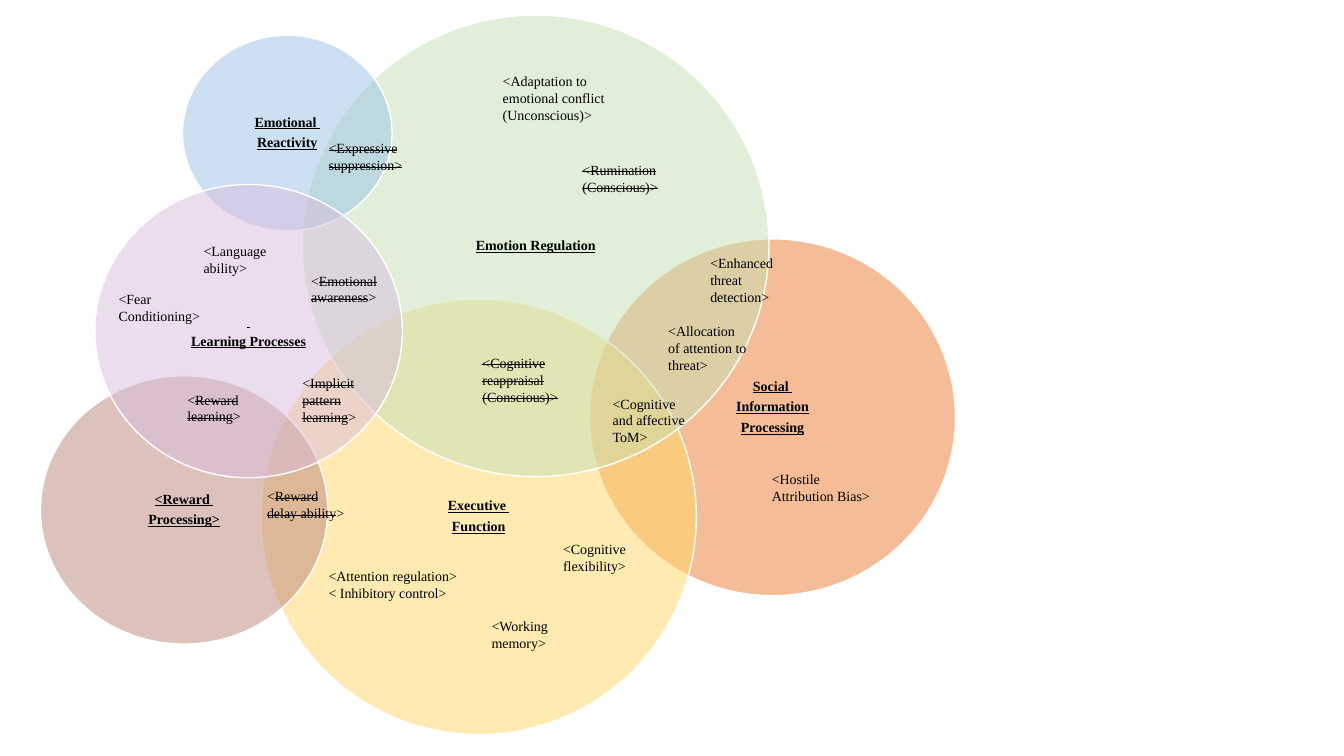
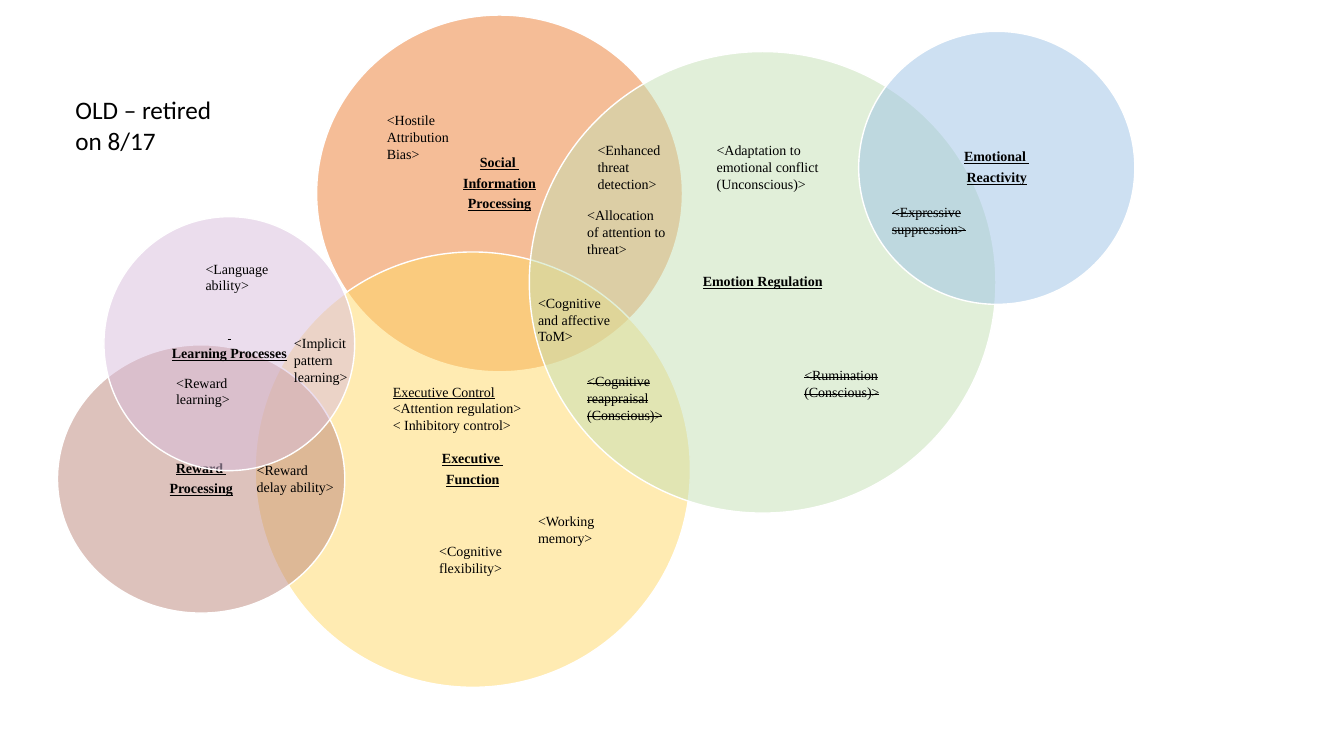
import pptx
import pptx.util
import pptx.dml.color
import pptx.enum.shapes
import pptx.enum.text
import pptx.oxml.ns
import lxml.etree

Cm, Pt = pptx.util.Cm, pptx.util.Pt

COLORS = {
    "social": "ED7D31", "executive": "FFD966", "regulation": "C5E0B4",
    "reward": "BD867B", "reactivity": "9DC3E6", "learning": "D9BDDD",
    "outline": "FFFFFF", "text": "000000",
}

# Circles: heading, width, height (cm)
CIRCLES = {
    "social": dict(text="Social \nInformation\nProcessing", w=9.22, h=8.99, bottom=0.6),
    "executive": dict(text="Executive \nFunction", w=10.97, h=10.97),
    "regulation": dict(text="Emotion Regulation", w=11.76, h=11.63),
    "reward": dict(text="Reward \nProcessing", w=7.24, h=6.76),
    "reactivity": dict(text="Emotional \nReactivity", w=5.28, h=4.93),
    "learning": dict(text=" \nLearning Processes", w=7.75, h=7.39),
}

# Labels: ~ encloses struck text, a leading _ underlines the line
LABELS = {
    "hostile": dict(text="<Hostile Attribution Bias>", w=3.28),
    "enhanced": dict(text="<Enhanced threat detection>", lines=3),
    "allocation": dict(text="<Allocation of attention to threat>", lines=3),
    "control": dict(text="<Attention regulation>\n< Inhibitory control>", w=3.86),
    "memory": dict(text="<Working memory>"),
    "flexibility": dict(text="<Cognitive flexibility>"),
    "delay": dict(text="<Reward delay ability>"),
    "reward": dict(text="<Reward learning>"),
    "reappraisal": dict(text="~<Cognitive reappraisal (Conscious)>~", lines=3),
    "tom": dict(text="<Cognitive and affective ToM>", lines=3),
    "rumination": dict(text="~<Rumination (Conscious)>~", w=2.97),
    "adaptation": dict(text="<Adaptation to emotional conflict (Unconscious)>", w=3.61, lines=3),
    "suppression": dict(text="~<Expressive suppression>~", w=2.67),
    "implicit": dict(text="<Implicit pattern learning>", lines=3),
    "language": dict(text="<Language ability>"),
    "awareness": dict(text="<~Emotional awareness~>"),
    "fear": dict(text="<Fear Conditioning>", w=2.84),
}

# Slides: left and top of each element (cm), then what differs from above
SLIDES = [
    dict(
        circles=[
            ("social", 14.86, 6.02, {}),
            ("executive", 6.58, 7.54, {}),
            ("regulation", 7.62, 0.38, {}),
            ("reward", 1.02, 9.47, dict(text="<Reward \nProcessing>")),
            ("reactivity", 4.6, 0.89, {}),
            ("learning", 2.39, 4.65, {}),
        ],
        labels=[
            ("hostile", 19.2, 11.73, {}),
            ("enhanced", 17.65, 6.3, {}),
            ("allocation", 16.59, 8, {}),
            ("control", 8.03, 14.17, {}),
            ("memory", 12.14, 15.44, {}),
            ("flexibility", 13.94, 13.49, {}),
            ("delay", 6.48, 12.17, dict(text="<~Reward delay ability~>")),
            ("reward", 4.47, 9.73, dict(text="<~Reward learning~>")),
            ("reappraisal", 11.91, 8.81, {}),
            ("tom", 15.19, 9.83, {}),
            ("rumination", 14.43, 3.94, {}),
            ("adaptation", 12.42, 1.7, {}),
            ("suppression", 8.03, 3.4, {}),
            ("implicit", 7.37, 9.32, dict(text="<~Implicit pattern learning~>")),
            ("language", 4.88, 5.99, {}),
            ("awareness", 7.59, 6.73, {}),
            ("fear", 2.74, 7.19, {}),
        ],
    ),
    dict(
        circles=[
            ("social", 7.98, 0.38, {}),
            ("executive", 6.43, 6.35, {}),
            ("regulation", 13.34, 1.3, {}),
            ("reward", 1.45, 8.69, {}),
            ("reactivity", 21.64, 0.79, dict(w=6.96, h=6.88)),
            ("learning", 2.62, 5.46, dict(w=6.32, h=6.4)),
        ],
        labels=[
            ("hostile", 9.5, 2.69, dict(w=2.34, lines=3)),
            ("enhanced", 14.81, 3.45, {}),
            ("allocation", 14.55, 5.08, {}),
            ("control", 9.65, 9.53, dict(
                text="_Executive Control\n" + LABELS["control"]["text"], lines=3)),
            ("memory", 13.31, 12.8, {}),
            ("flexibility", 10.82, 13.54, {}),
            ("delay", 6.22, 11.51, {}),
            ("reward", 4.19, 9.3, {}),
            ("reappraisal", 14.55, 9.27, {}),
            ("tom", 13.31, 7.29, {}),
            ("rumination", 20.02, 9.12, {}),
            ("adaptation", 17.81, 3.45, {}),
            ("suppression", 22.23, 5, {}),
            ("implicit", 7.16, 8.31, {}),
            ("language", 4.93, 6.43, {}),
        ],
        note=("OLD – retired on 8/17", 1.65, 2.26, 4.7),
    ),
]


def rgb(name):
    return pptx.dml.color.RGBColor.from_string(COLORS[name])


def set_all(obj, values):
    for name, value in values.items():
        setattr(obj, name, value)


class Deck:
    BODY = dict(name="Times New Roman", size=Pt(10))
    NOTE = dict(name="Calibri", size=Pt(18))
    HEADING = dict(alignment=pptx.enum.text.PP_ALIGN.CENTER,
                   line_spacing=0.9, space_after=Pt(4))

    def __init__(self):
        self.prs = pptx.Presentation()
        set_all(self.prs, dict(slide_width=Cm(33.87), slide_height=Cm(19.05)))
        self.s = None

    def new_slide(self):
        self.s = self.prs.slides.add_slide(self.prs.slide_layouts[6])

    def run(self, p, text, font, struck=False):
        r = p.add_run()
        r.text = text
        set_all(r.font, font)
        r.font.color.rgb = rgb("text")
        if struck:
            r.font._element.set("strike", "sngStrike")

    def circle(self, color, x, y, text, w, h, bottom=0.1):
        """Half-transparent circle with an underlined heading."""
        sp = self.s.shapes.add_shape(pptx.enum.shapes.MSO_SHAPE.OVAL,
                                     Cm(x), Cm(y), Cm(w), Cm(h))
        sp.shadow.inherit = False
        sp.fill.solid()
        sp.fill.fore_color.rgb = rgb(color)
        clr = sp._element.spPr.find(".//" + pptx.oxml.ns.qn("a:srgbClr"))
        lxml.etree.SubElement(clr, pptx.oxml.ns.qn("a:alpha"), val="50000")
        sp.line.color.rgb = rgb("outline")
        sp.line.width = Pt(1)
        tf = sp.text_frame
        set_all(tf, dict(margin_left=Cm(0.1), margin_right=Cm(0.1), margin_top=Cm(0.1),
                         margin_bottom=Cm(bottom), word_wrap=True,
                         vertical_anchor=pptx.enum.text.MSO_ANCHOR.MIDDLE))
        for i, line in enumerate(text.split("\n")):
            p = tf.add_paragraph() if i else tf.paragraphs[0]
            set_all(p, self.HEADING)
            bold = bool(line.strip())
            self.run(p, line, dict(self.BODY, underline=True, bold=bold, italic=not bold))

    def label(self, x, y, text, w=2.49, lines=2, font=BODY):
        """Text box whose height follows its number of lines."""
        line_height = 1.2 * font["size"].cm
        sp = self.s.shapes.add_textbox(Cm(x), Cm(y), Cm(w), Cm(0.25 + lines * line_height))
        tf = sp.text_frame
        set_all(tf, dict(word_wrap=True,
                         auto_size=pptx.enum.text.MSO_AUTO_SIZE.SHAPE_TO_FIT_TEXT))
        for i, line in enumerate(text.split("\n")):
            p = tf.add_paragraph() if i else tf.paragraphs[0]
            fmt = dict(font, underline=True) if line.startswith("_") else font
            for k, part in enumerate(line.lstrip("_").split("~")):
                if part:
                    self.run(p, part, fmt, struck=k % 2 == 1)


def main():
    deck = Deck()
    for content in SLIDES:
        deck.new_slide()
        # Overlapping circles, back to front
        for key, x, y, changes in content["circles"]:
            deck.circle(key, x, y, **{**CIRCLES[key], **changes})
        # Labels inside the circles
        for key, x, y, changes in content["labels"]:
            deck.label(x, y, **{**LABELS[key], **changes})
        # Status note
        if "note" in content:
            text, x, y, w = content["note"]
            deck.label(x, y, text, w, font=deck.NOTE)
    deck.prs.save("out.pptx")


if __name__ == "__main__":
    main()
